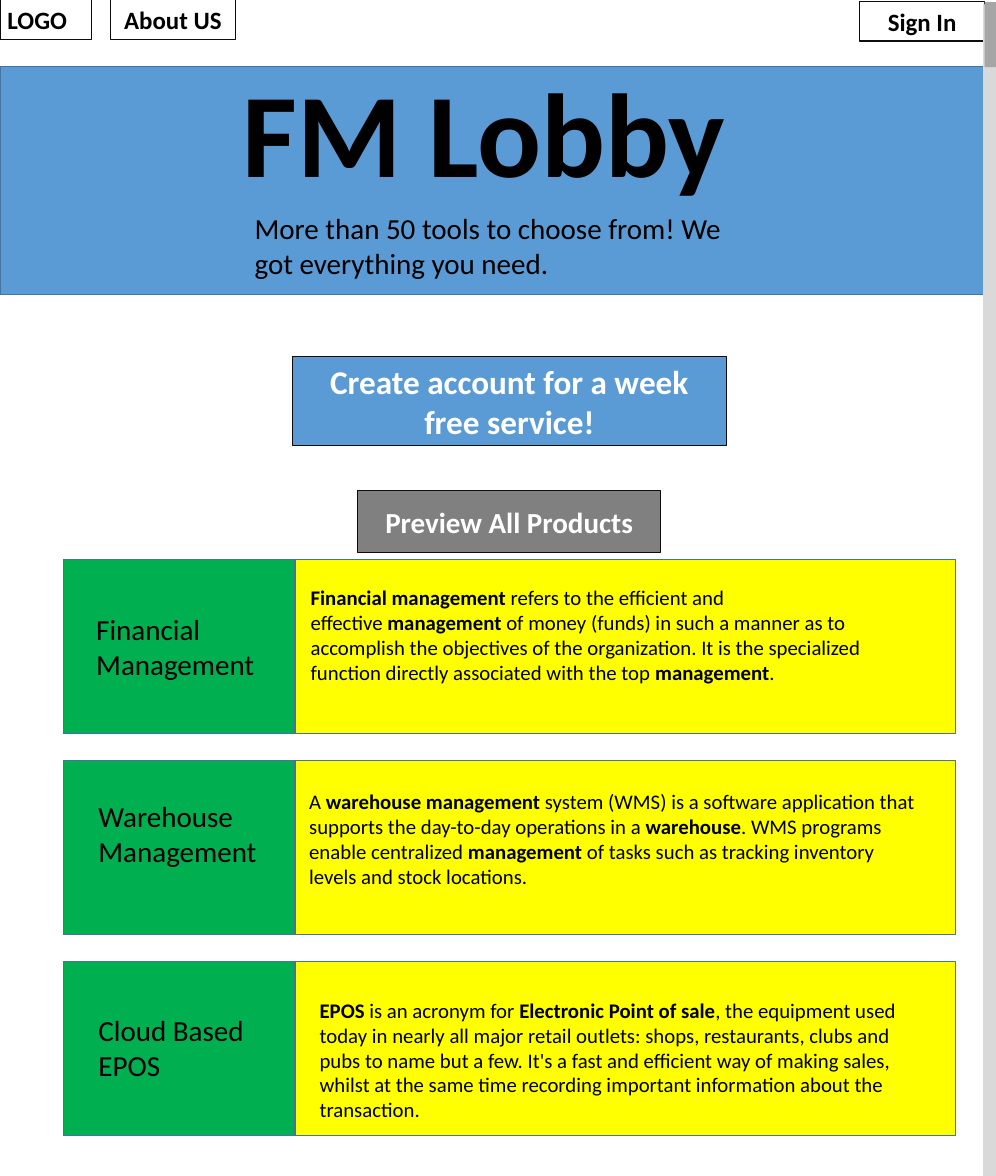
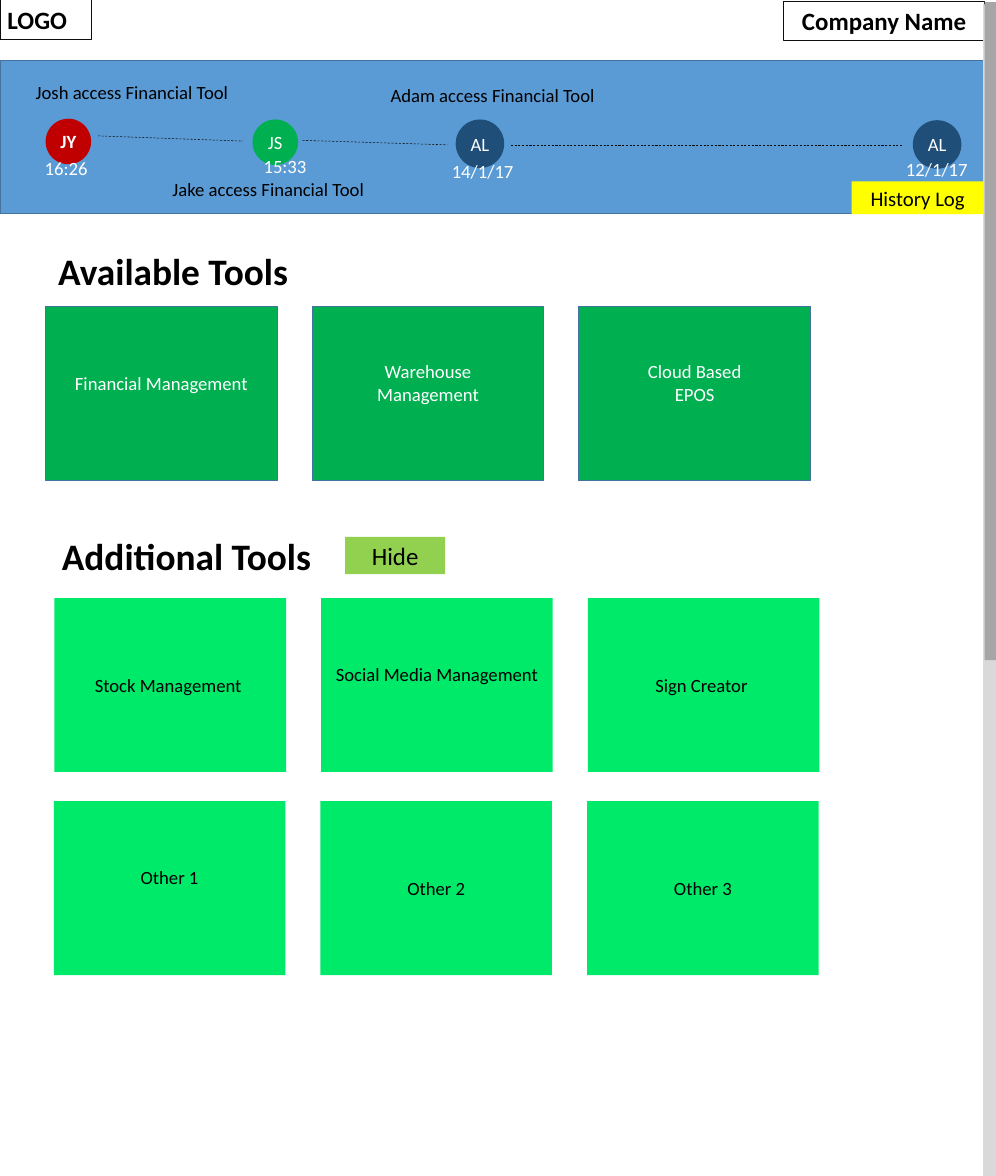
from dataclasses import dataclass
from typing import Optional

from lxml.etree import SubElement
from pptx import Presentation
from pptx.dml.color import RGBColor
from pptx.enum.dml import MSO_LINE
from pptx.enum.shapes import MSO_CONNECTOR, MSO_SHAPE
from pptx.enum.text import MSO_ANCHOR, MSO_AUTO_SIZE, PP_ALIGN
from pptx.oxml.ns import qn
from pptx.util import Inches, Pt

FONT = "Calibri"
BLACK = RGBColor(0, 0, 0)
WHITE = RGBColor(255, 255, 255)
INK = RGBColor(0x0D, 0x0D, 0x0D)
BLUE = RGBColor(0x5B, 0x9B, 0xD5)
EDGE = RGBColor(0x43, 0x73, 0x9E)
NAVY = RGBColor(0x1F, 0x4E, 0x79)
RED = RGBColor(0xC0, 0, 0)
GREEN = RGBColor(0, 0xB0, 0x50)
MINT = RGBColor(0, 0xEA, 0x6A)
LIME = RGBColor(0x92, 0xD0, 0x50)
YELLOW = RGBColor(255, 255, 0)
GREY = RGBColor(0x80, 0x80, 0x80)
TRACK = RGBColor(0xD9, 0xD9, 0xD9)
THUMB = RGBColor(0xA6, 0xA6, 0xA6)

WIDTH = 40 / 3
HEIGHT = 15.75
CARD = (3.1, 2.33)

Rect = tuple[float, float, float, float]


@dataclass(frozen=True)
class Type:
    size: float = 18
    color: RGBColor = BLACK
    bold: bool = False
    align: PP_ALIGN = PP_ALIGN.CENTER


@dataclass(frozen=True)
class Topic:
    name: str
    name_at: tuple[float, float]
    body: str
    body_at: Rect


@dataclass(frozen=True)
class Event:
    label: str
    at: Rect
    fill: RGBColor
    time: str
    time_at: Rect
    bold: bool = False


@dataclass(frozen=True)
class Row:
    left: float
    top: float
    fill: RGBColor
    line: Optional[RGBColor]
    color: RGBColor
    tools: tuple[str, ...]
    raised: tuple[int, ...]  # columns whose label sits above the middle


BODY = Type(20, align=PP_ALIGN.LEFT)
NAME = Type(28, align=PP_ALIGN.LEFT)
NOTE = Type(align=PP_ALIGN.LEFT)
TIME = Type(color=WHITE, align=PP_ALIGN.LEFT)
HEAD = Type(36, bold=True, align=PP_ALIGN.LEFT)
NAV = Type(24, bold=True)


def write(frame, text: str, style: Type) -> None:
    """Fill a frame; ** marks switch bold on and off."""
    frame.word_wrap = True
    for i, line in enumerate(text.split("\n")):
        para = frame.paragraphs[0] if i == 0 else frame.add_paragraph()
        para.alignment = style.align
        for n, part in enumerate(line.split("**")):
            if part:
                run = para.add_run()
                run.text = part
                run.font.name = FONT
                run.font.size = Pt(style.size)
                run.font.bold = style.bold or n % 2 == 1
                run.font.color.rgb = style.color


def label(slide, at: Rect, text: str, style: Type) -> None:
    box = slide.shapes.add_textbox(*map(Inches, at))
    write(box.text_frame, text, style)
    box.text_frame.auto_size = MSO_AUTO_SIZE.SHAPE_TO_FIT_TEXT


def block(slide, at: Rect, fill: Optional[RGBColor], line: Optional[RGBColor] = None,
          text: str = "", style: Type = Type(), kind: MSO_SHAPE = MSO_SHAPE.RECTANGLE,
          lift: float = 0) -> None:
    shape = slide.shapes.add_shape(kind, *map(Inches, at))
    shape.shadow.inherit = False
    if fill is None:
        shape.fill.background()
    else:
        shape.fill.solid()
        shape.fill.fore_color.rgb = fill
    if line is None:
        shape.line.fill.background()
    else:
        shape.line.color.rgb = line
        shape.line.width = Pt(1)
    if text:
        frame = shape.text_frame
        frame.vertical_anchor = MSO_ANCHOR.MIDDLE
        frame.margin_bottom = Inches(0.05 + lift)
        if kind == MSO_SHAPE.OVAL:
            frame.margin_left = frame.margin_right = 0
        write(frame, text, style)


def link(slide, x1: float, y1: float, x2: float, y2: float) -> None:
    ends = map(Inches, (x1, y1, x2, y2))
    wire = slide.shapes.add_connector(MSO_CONNECTOR.STRAIGHT, *ends)
    wire.line.color.rgb = INK
    wire.line.width = Pt(0.5)
    wire.line.dash_style = MSO_LINE.DASH
    SubElement(wire._element.spPr, qn("a:effectLst"))


def page(deck, top: float, height: float):
    """Add a slide with the blue band and the logo button."""
    slide = deck.slides.add_slide(deck.slide_layouts[6])
    block(slide, (0, top, WIDTH, height), BLUE, EDGE)
    block(slide, (0, 0, 1.22, 0.53), None, INK, "LOGO",
          Type(24, bold=True, align=PP_ALIGN.LEFT))
    return slide


def scroll(slide, height: float) -> None:
    block(slide, (13.16, 0.06, 0.21, 15.69), TRACK)
    block(slide, (13.18, 0.03, 0.16, height), THUMB)


TOPICS = (
    Topic("Financial Management", (1.19, 8.14),
          "**Financial management**\u00a0refers to the efficient and effective\u00a0"
          "**management**\u00a0of money (funds) in such a manner as to accomplish the "
          "objectives of the organization. It is the specialized function directly "
          "associated with the top\u00a0**management**.", (4.06, 7.78, 8.42, 1.45)),
    Topic("Warehouse\nManagement", (1.22, 10.64),
          "A\u00a0**warehouse management**\u00a0system (WMS) is a software application "
          "that supports the day-to-day operations in a\u00a0**warehouse**. WMS programs "
          "enable centralized\u00a0**management**\u00a0of tasks such as tracking "
          "inventory levels and stock locations.", (4.04, 10.52, 8.42, 1.45)),
    Topic("Cloud Based\nEPOS", (1.22, 13.51),
          "**EPOS**\u00a0is an acronym for\u00a0**Electronic Point of sale**, the "
          "equipment used today in nearly all major retail outlets: shops, restaurants, "
          "clubs and pubs to name but a few. It's a fast and efficient way of making "
          "sales, whilst at the same time recording important information about the "
          "transaction.", (4.18, 13.31, 8.42, 1.78)),
)

EVENTS = (
    Event("JY", (0.61, 1.59, 0.61, 0.61), RED, "16:26", (0.5, 2.05, 1.28, 0.4), True),
    Event("JS", (3.38, 1.6, 0.61, 0.61), GREEN, "15:33", (3.43, 2.03, 1.28, 0.4)),
    Event("AL", (6.1, 1.6, 0.65, 0.65), NAVY, "14/1/17", (5.95, 2.09, 1.26, 0.4)),
    Event("AL", (12.22, 1.61, 0.65, 0.65), NAVY, "12/1/17", (12.03, 2.06, 1.26, 0.4)),
)

NOTES = (
    ("Josh access Financial Tool", 0.38, 1.04),
    ("Jake access Financial Tool", 2.21, 2.33),
    ("Adam access Financial Tool", 5.13, 1.07),
)

LINKS = ((1.31, 1.82, 3.25, 1.89), (4.05, 1.88, 5.99, 1.94), (6.84, 1.94, 12.09, 1.94))

ROWS = (
    Row(0.61, 4.11, GREEN, EDGE, WHITE,
        ("Financial Management", "Warehouse\nManagement", "Cloud Based\nEPOS"), (0, 1, 2)),
    Row(0.73, 8.01, MINT, None, BLACK,
        ("Stock Management ", "Social Media Management", "Sign Creator "), (1,)),
    Row(0.72, 10.73, MINT, None, BLACK, ("Other 1", "Other 2", "Other 3"), (0,)),
)


def lobby(deck) -> None:
    # Header
    slide = page(deck, 0.89, 3.06)
    block(slide, (1.48, 0, 1.67, 0.53), None, INK, "About US", NAV)
    block(slide, (11.51, 0.02, 1.67, 0.53), None, INK, "Sign In", NAV)
    label(slide, (3.15, 0.73, 7.34, 2.04), "FM Lobby",
          Type(115, bold=True, align=PP_ALIGN.LEFT))
    label(slide, (3.31, 2.77, 6.59, 1.04),
          "More than 50 tools to choose from! We got everything you need.", NAME)

    # Buttons
    block(slide, (3.91, 4.78, 5.82, 1.19), BLUE, INK,
          "Create account for a week free service!", Type(32, WHITE, True))
    block(slide, (4.79, 6.57, 4.05, 0.83), GREY, INK,
          "Preview All Products", Type(28, WHITE, True))

    # Products
    for i, topic in enumerate(TOPICS):
        top = 7.5 + 2.69 * i
        block(slide, (0.85, top, 11.94, CARD[1]), YELLOW, EDGE)
        block(slide, (0.85, top, *CARD), GREEN, EDGE)
        label(slide, (*topic.name_at, 2.96, 1.04), topic.name, NAME)
        label(slide, topic.body_at, topic.body, BODY)
    scroll(slide, 0.87)


def tools(deck) -> None:
    # Header
    slide = page(deck, 0.81, 2.05)
    block(slide, (10.49, 0.02, 2.69, 0.52), None, INK, "Company Name", NAV)
    scroll(slide, 8.81)

    # History
    block(slide, (11.4, 2.43, 1.77, 0.44), YELLOW, None, "History Log", Type(20))
    for text, left, top in NOTES:
        label(slide, (left, top, 3.23, 0.4), text, NOTE)
    for ends in LINKS:
        link(slide, *ends)
    for event in EVENTS:
        block(slide, event.at, event.fill, None, event.label,
              Type(color=WHITE, bold=event.bold), MSO_SHAPE.OVAL)
        label(slide, event.time_at, event.time, TIME)

    # Headings
    label(slide, (0.68, 3.27, 3.45, 0.71), "Available Tools", HEAD)
    label(slide, (0.73, 7.09, 4.12, 0.71), "Additional Tools", HEAD)
    block(slide, (4.62, 7.19, 1.34, 0.5), LIME, None, "Hide", Type(24))

    # Tool cards
    for row in ROWS:
        for i, name in enumerate(row.tools):
            block(slide, (row.left + 3.57 * i, row.top, *CARD), row.fill, row.line,
                  name, Type(color=row.color), lift=0.3 if i in row.raised else 0)


def main() -> None:
    deck = Presentation()
    deck.slide_width = Inches(WIDTH)
    deck.slide_height = Inches(HEIGHT)
    lobby(deck)
    tools(deck)
    deck.save("out.pptx")


main()
